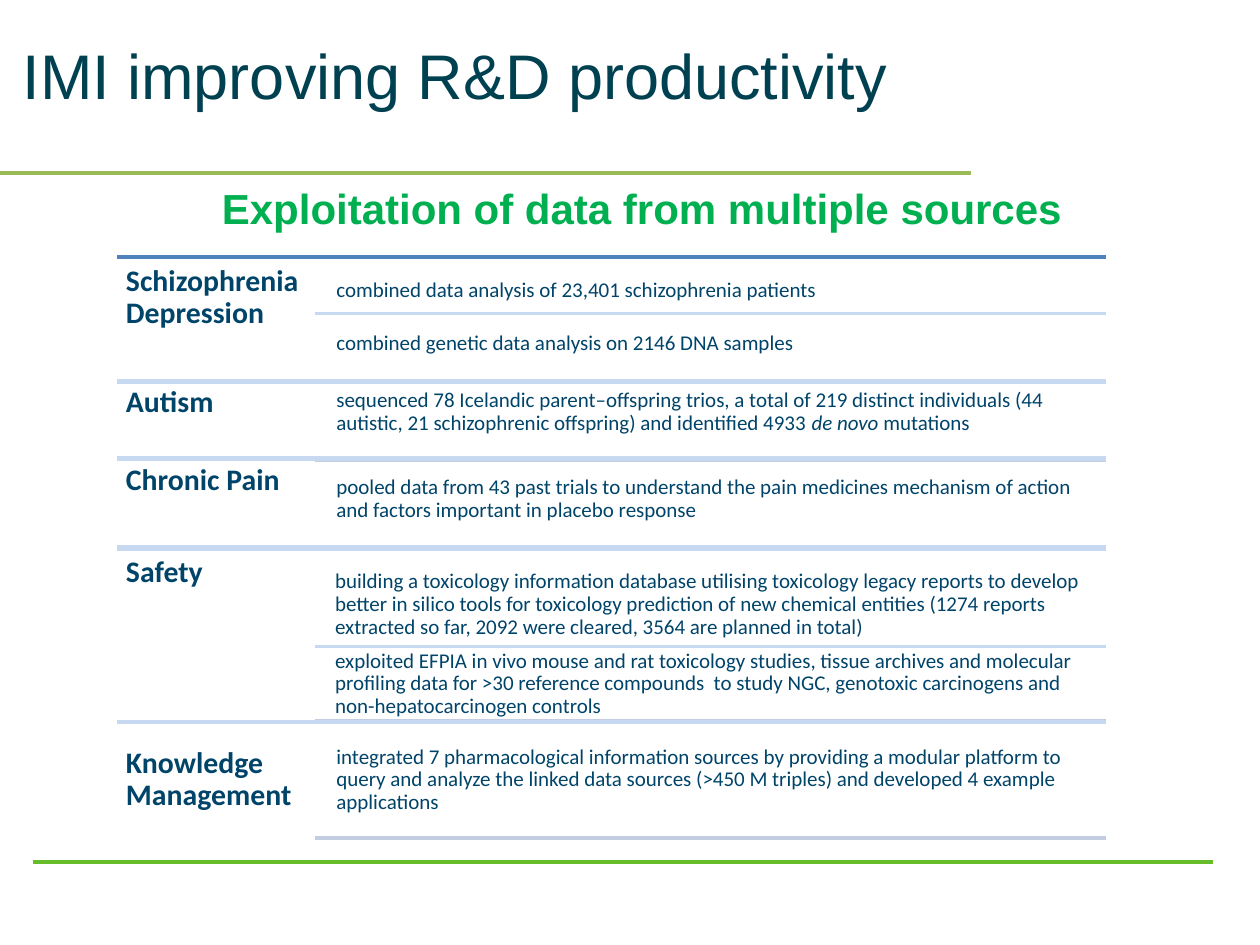
from typing import NamedTuple

from lxml import etree
from pptx import Presentation
from pptx import util as u
from pptx.dml.color import RGBColor
from pptx.enum import shapes, text
from pptx.oxml.ns import qn

TITLE_TEAL = RGBColor(0x00, 0x41, 0x51)
HEADING_GREEN = RGBColor(0x00, 0xB0, 0x50)
TEXT_BLUE = RGBColor(0x00, 0x44, 0x6A)
OLIVE = RGBColor(0x9B, 0xBB, 0x59)
FOOTER_GREEN = RGBColor(0x66, 0xBC, 0x29)
TOP_BLUE = RGBColor(0x4F, 0x81, 0xBD)
PALE_BLUE = RGBColor(0xC6, 0xD9, 0xF1)
GREY_BLUE = RGBColor(0xC2, 0xCD, 0xE1)

TABLE_LEFT, DETAIL_LEFT, TABLE_RIGHT = 0.93, 2.5, 8.78
TOP, MIDDLE = text.MSO_ANCHOR.TOP, text.MSO_ANCHOR.MIDDLE


class Rule(NamedTuple):
    left: float
    right: float
    y: float
    color: RGBColor
    weight: float = 2


class Topic(NamedTuple):
    name: str
    top: float
    height: float = 0.92
    anchor: text.MSO_ANCHOR = TOP


class Detail(NamedTuple):
    wording: str  # parts between asterisks are italic
    top: float
    height: float
    left: float = 2.62
    anchor: text.MSO_ANCHOR = MIDDLE


RULES = [
    Rule(0, 7.71, 1.37, OLIVE, 2.25),
    Rule(0.26, 9.63, 6.84, FOOTER_GREEN, 2.25),
    Rule(TABLE_LEFT, TABLE_RIGHT, 2.04, TOP_BLUE),
    *(Rule(DETAIL_LEFT, TABLE_RIGHT, y, PALE_BLUE) for y in (2.49, 5.13)),
    *(Rule(DETAIL_LEFT, TABLE_RIGHT, y, GREY_BLUE)
      for y in (3.03, 3.65, 4.35, 5.72, 6.65)),
    *(Rule(TABLE_LEFT, TABLE_RIGHT, y, PALE_BLUE, weight)
      for y, weight in ((3.03, 3), (3.64, 3), (4.35, 3), (5.73, 2))),
]

TOPICS = [
    Topic("Schizophrenia Depression", 2.04),
    Topic("Autism", 3.0),
    Topic("Chronic Pain", 3.62),
    Topic("Safety", 4.35, height=0.69),
    Topic("Knowledge Management", 5.73, anchor=MIDDLE),
]

DETAILS = [
    Detail("combined data analysis of 23,401 schizophrenia patients", 2.09, 0.43),
    Detail("combined genetic data analysis on 2146 DNA samples", 2.51, 0.43),
    Detail("sequenced 78 Icelandic parent–offspring trios, a total of 219 distinct "
           "individuals (44 autistic, 21 schizophrenic offspring) and identified "
           "4933 *de novo *mutations", 3.04, 0.36, anchor=TOP),
    Detail("pooled data from 43 past trials to understand the pain medicines "
           "mechanism of action and factors important in placebo response",
           3.75, 0.42),
    Detail("building a toxicology information database utilising toxicology legacy "
           "reports to develop better in silico tools for toxicology prediction of "
           "new chemical entities (1274 reports extracted so far, 2092 were "
           "cleared, 3564 are planned in total)", 4.57, 0.46, left=2.61),
    Detail("exploited EFPIA in vivo mouse and rat toxicology studies, tissue "
           "archives and molecular profiling data for >30 reference compounds  to "
           "study NGC, genotoxic carcinogens and non-hepatocarcinogen controls",
           5.21, 0.44, left=2.61),
    Detail("integrated 7 pharmacological information sources by providing a "
           "modular platform to query and analyze the linked data sources (>450 M "
           "triples) and developed 4 example applications", 5.77, 0.84),
]


def write(frame, wording: str, *, size: float, color: RGBColor, font: str = "Calibri",
          bold: bool = False, align=text.PP_ALIGN.LEFT, anchor=TOP,
          inset: float | None = None, spacing: float = 1.0, wrap: bool = True) -> None:
    """Fill a text frame; parts between asterisks become italic."""
    frame.word_wrap = wrap
    frame.auto_size = text.MSO_AUTO_SIZE.NONE
    frame.vertical_anchor = anchor
    if inset is not None:
        frame.margin_left = frame.margin_right = u.Inches(inset)
        frame.margin_top = frame.margin_bottom = u.Inches(inset)
    paragraph = frame.paragraphs[0]
    paragraph.alignment = align
    paragraph.line_spacing = spacing
    for index, part in enumerate(wording.split("*")):
        run = paragraph.add_run()
        run.text = part
        run.font.name = font
        run.font.size = u.Pt(size)
        run.font.bold = bold
        run.font.italic = index % 2 == 1
        run.font.color.rgb = color


def add_box(slide, left: float, top: float, width: float, height: float):
    """Add a text box and return its text frame."""
    return slide.shapes.add_textbox(u.Inches(left), u.Inches(top), u.Inches(width),
                                    u.Inches(height)).text_frame


def draw_rule(slide, rule: Rule) -> None:
    line = slide.shapes.add_connector(
        shapes.MSO_CONNECTOR.STRAIGHT, u.Inches(rule.left), u.Inches(rule.y),
        u.Inches(rule.right), u.Inches(rule.y))
    line.line.color.rgb = rule.color
    line.line.width = u.Pt(rule.weight)
    etree.SubElement(line._element.spPr, qn("a:effectLst"))


def draw_topic(slide, topic: Topic) -> None:
    frame = add_box(slide, TABLE_LEFT, topic.top, DETAIL_LEFT - TABLE_LEFT, topic.height)
    write(frame, topic.name, size=17, color=TEXT_BLUE, bold=True,
          anchor=topic.anchor, inset=0.07, spacing=0.9)


def draw_detail(slide, detail: Detail) -> None:
    frame = add_box(slide, detail.left, detail.top, 6.16, detail.height)
    write(frame, detail.wording, size=12, color=TEXT_BLUE, anchor=detail.anchor,
          inset=0.05, spacing=0.9)


def main() -> None:
    deck = Presentation()
    deck.slide_width, deck.slide_height = u.Inches(10), u.Inches(7.5)
    slide = deck.slides.add_slide(deck.slide_layouts.get_by_name("Title Only"))

    title = slide.shapes.title
    title.left, title.top = u.Inches(0.08), u.Inches(0.1)
    title.width, title.height = u.Inches(7.6), u.Inches(0.98)
    write(title.text_frame, "IMI improving R&D productivity", size=36,
          color=TITLE_TEAL, font="Arial", anchor=MIDDLE)

    for rule in RULES:
        draw_rule(slide, rule)
    for topic in TOPICS:
        draw_topic(slide, topic)
    for detail in DETAILS:
        draw_detail(slide, detail)

    write(add_box(slide, 1.63, 1.4, 6.93, 0.5),
          "Exploitation of data from multiple sources", size=24, color=HEADING_GREEN,
          font="Arial", bold=True, align=text.PP_ALIGN.CENTER, wrap=False)
    deck.save("out.pptx")


if __name__ == "__main__":
    main()
